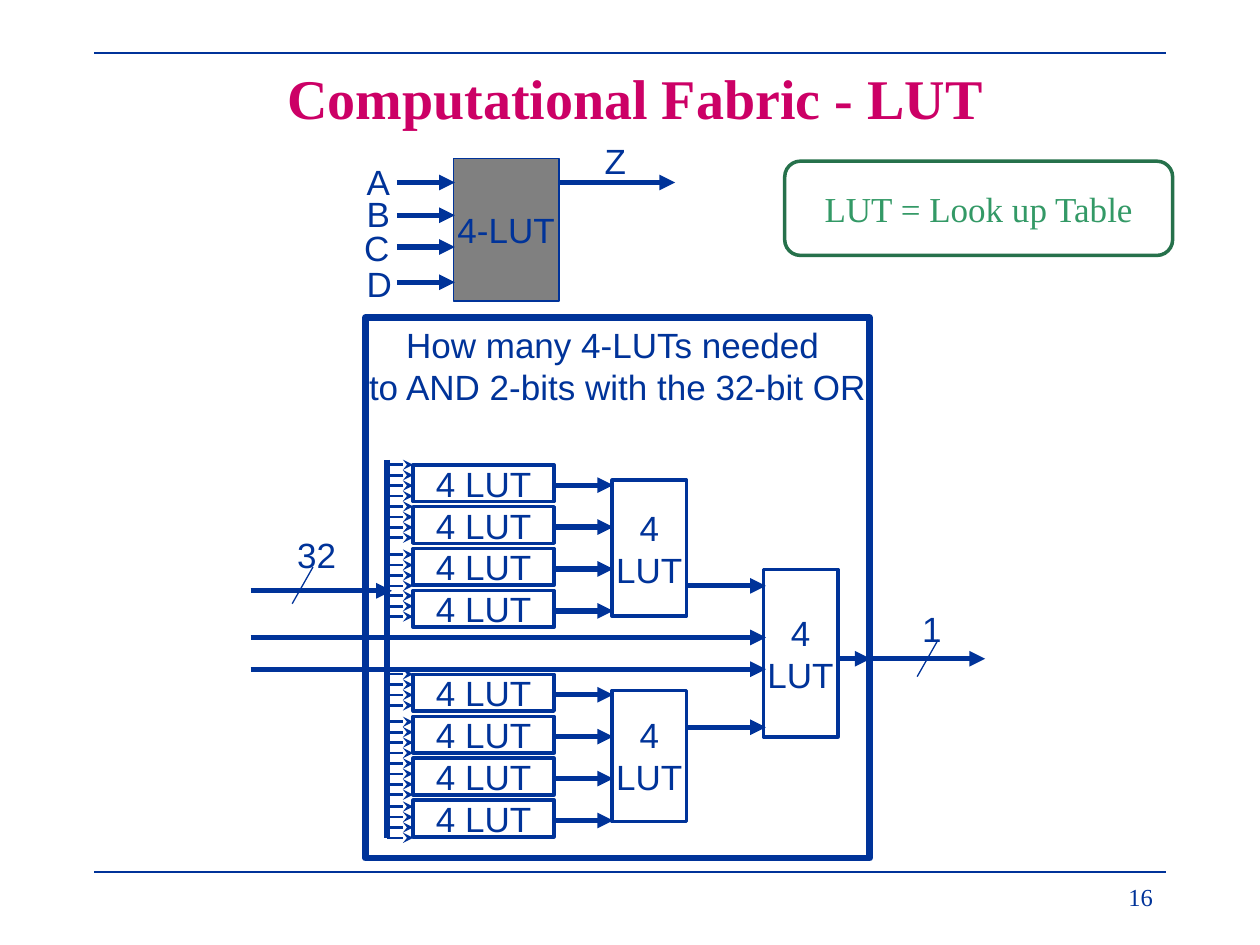
import lxml.etree
import pptx
import pptx.dml.color
import pptx.enum.shapes
import pptx.enum.text
import pptx.oxml.ns
import pptx.util

"""Build the slide on lookup tables as computational fabric."""

Cm = pptx.util.Cm
Pt = pptx.util.Pt
Kind = pptx.enum.shapes.MSO_SHAPE
Align = pptx.enum.text.PP_ALIGN
Anchor = pptx.enum.text.MSO_ANCHOR
qn = pptx.oxml.ns.qn

HUES = {"blue": "003399", "pink": "CC0066", "gray": "808080",
        "edge": "26714B", "green": "339966"}
SANS = {"name": "Arial", "size": Pt(20)}
SERIF = {"name": "Times New Roman", "size": Pt(20)}
TITLE = {"name": "Times New Roman", "size": Pt(32), "bold": True}
PAGE = {"name": "Times New Roman", "size": Pt(14)}


def hue(name):
    return pptx.dml.color.RGBColor.from_string(HUES[name])


def apply(item, values):
    for key, value in values.items():
        setattr(item, key, value)


def write(shape, text, font, color, align, frame):
    body = shape.text_frame
    apply(body, frame)
    body.text = text
    for para in body.paragraphs:
        para.alignment = align
        apply(para.runs[0].font, font)
        para.runs[0].font.color.rgb = hue(color)


def label(slide, text, place, font=SANS, color="blue", align=Align.LEFT, **frame):
    box = slide.shapes.add_textbox(*map(Cm, place))
    write(box, text, font, color, align, {"word_wrap": False, **frame})


def block(slide, text, place, width=2, fill=None, edge="blue", kind=Kind.RECTANGLE,
          font=SANS, color="blue", **frame):
    shape = slide.shapes.add_shape(kind, *map(Cm, place))
    shape.shadow.inherit = False
    if fill:
        shape.fill.solid()
        shape.fill.fore_color.rgb = hue(fill)
    else:
        shape.fill.background()
    shape.line.color.rgb = hue(edge)
    shape.line.width = Pt(width)
    write(shape, text, font, color, Align.CENTER,
          {"word_wrap": False, "vertical_anchor": Anchor.MIDDLE, **frame})


def line(slide, start, end, width=0.75, head=None):
    link = slide.shapes.add_connector(
        pptx.enum.shapes.MSO_CONNECTOR.STRAIGHT, *map(Cm, start + end))
    link.line.color.rgb = hue("blue")
    link.line.width = Pt(width)
    props = link.element.spPr
    if head:
        lxml.etree.SubElement(props.find(qn("a:ln")), qn("a:tailEnd"), type=head)
    lxml.etree.SubElement(props, qn("a:effectLst"))


def arrow(slide, left, right, y, width=3, head="triangle"):
    line(slide, (left, y), (right, y), width, head)


def frame(slide):
    for y in (1.07, 17.58):
        line(slide, (1.9, y), (23.5, y))
    label(slide, "Computational Fabric - LUT", (2.01, 0.36, 21.59, 3.18), TITLE,
          "pink", Align.CENTER, word_wrap=True, vertical_anchor=Anchor.MIDDLE,
          margin_left=Cm(0.76), margin_right=Cm(0.76))
    label(slide, "16", (18.21, 17.65, 5.28, 0.99), PAGE, align=Align.RIGHT,
          word_wrap=True)


def single(slide):
    block(slide, "4-LUT", (9.14, 3.2, 2.13, 2.87), 0.75, "gray")
    inputs = [("A", 7.14, 3.12, 3.68), ("B", 7.14, 3.76, 4.34),
              ("C", 7.09, 4.45, 4.98), ("D", 7.14, 5.16, 5.69)]
    for name, left, top, y in inputs:
        label(slide, name, (left, top, 1, 1.1))
        arrow(slide, 8, 9.17, y)
    label(slide, "Z", (11.94, 2.69, 0.94, 1.1))
    arrow(slide, 11.28, 13.61, 3.68)
    block(slide, "LUT = Look up Table", (15.82, 3.25, 7.82, 1.9), edge="edge",
          kind=Kind.ROUNDED_RECTANGLE, font=SERIF, color="green", word_wrap=True)


def bank(slide):
    pitch, step = 0.845, 0.21
    rows = (0, 1, 2, 3, 5, 6, 7, 8)
    taps = (9.37, 10.21, 11.18, 12.01, 13.59, 14.55, 15.39, 16.26)
    line(slide, (7.8, 9.27), (7.8, 16.89), 3.5)
    for row, tap in zip(rows, taps):
        top = 9.37 + row * pitch
        block(slide, "4 LUT", (8.33, top, 2.84, 0.74), word_wrap=True)
        arrow(slide, 11.2, 12.36, top + 0.41)
        for pin in range(3 if row == 3 else 4):
            arrow(slide, 7.8, 8.33, tap + pin * step, 1.5, "stealth")


def tree(slide):
    block(slide, "How many 4-LUTs needed \nto AND 2-bits with the 32-bit OR",
          (7.37, 6.4, 10.16, 10.9), 3.75, vertical_anchor=Anchor.TOP)
    bank(slide)
    for left, top, high in ((12.34, 9.68, 2.74), (12.34, 13.92, 2.64),
                            (15.39, 11.48, 3.38)):
        block(slide, "4\nLUT", (left, top, 1.5, high))
    for left, right, y in ((5.05, 7.9, 11.91), (5.05, 15.44, 12.85),
                           (5.05, 15.44, 13.49), (13.84, 15.44, 11.81),
                           (13.84, 15.44, 14.66), (16.92, 17.55, 13.28),
                           (17.53, 19.86, 13.28)):
        arrow(slide, left, right, y)
    for text, left, top, x, y in (("32", 5.74, 10.64, 5.89, 12.17),
                                  ("1", 18.34, 12.12, 18.49, 13.64)):
        label(slide, text, (left, top, 1.3, 1.12))
        line(slide, (x + 0.42, y - 0.74), (x, y))


def main():
    deck = pptx.Presentation()
    apply(deck, {"slide_width": Cm(25.4), "slide_height": Cm(19.05)})
    slide = deck.slides.add_slide(deck.slide_layouts[6])
    for part in (frame, single, tree):
        part(slide)
    deck.save("out.pptx")


if __name__ == "__main__":
    main()
